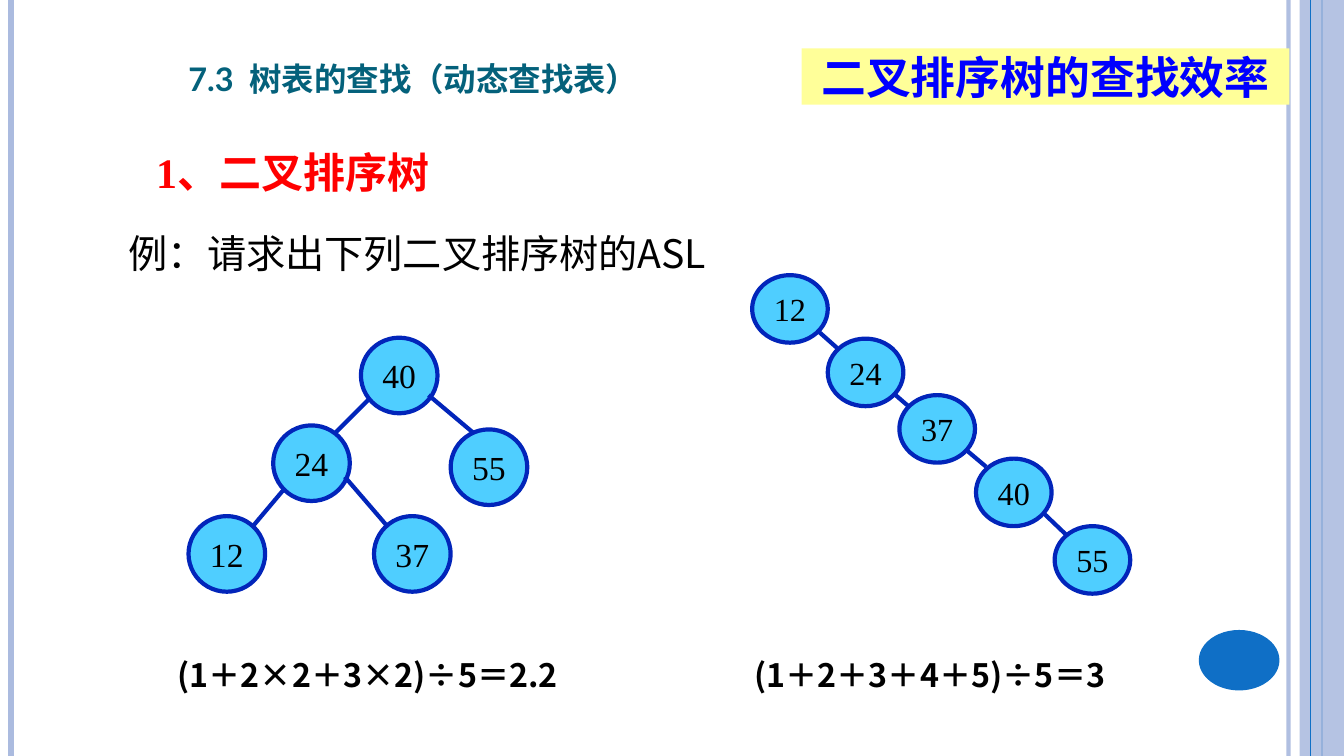
from lxml import etree
from pptx import Presentation
from pptx.dml.color import RGBColor
from pptx.enum.shapes import MSO_CONNECTOR, MSO_SHAPE
from pptx.enum.text import MSO_ANCHOR, PP_ALIGN
from pptx.oxml.ns import qn
from pptx.util import Inches, Pt

STRAIGHT = MSO_CONNECTOR.STRAIGHT
RECTANGLE, OVAL = MSO_SHAPE.RECTANGLE, MSO_SHAPE.OVAL
TOP, MIDDLE, BOTTOM = MSO_ANCHOR.TOP, MSO_ANCHOR.MIDDLE, MSO_ANCHOR.BOTTOM
CENTER = PP_ALIGN.CENTER

PALE_BLUE = RGBColor(0xAB, 0xBB, 0xDF)
BLUE = RGBColor(0x0F, 0x6F, 0xC6)
TEAL = RGBColor(0x04, 0x61, 0x7B)
RED = RGBColor(0xFF, 0x00, 0x00)
YELLOW = RGBColor(0xFF, 0xFF, 0x99)
PURE_BLUE = RGBColor(0x00, 0x00, 0xFF)
NODE_FILL = RGBColor(0x4F, 0xCE, 0xFF)
NODE_LINE = RGBColor(0x02, 0x25, 0xBA)
BLACK = RGBColor(0x00, 0x00, 0x00)

SANS, SERIF, LATO = "Noto Sans CJK SC", "Times New Roman", "Lato"

presentation = Presentation()
presentation.slide_width = Inches(13.33)
presentation.slide_height = Inches(7.5)
slide = presentation.slides.add_slide(presentation.slide_layouts[6])


def add_line(start_x, start_y, end_x, end_y, colour, width):
    line = slide.shapes.add_connector(
        STRAIGHT, Inches(start_x), Inches(start_y), Inches(end_x), Inches(end_y))
    line.line.color.rgb = colour
    line.line.width = Pt(width)
    etree.SubElement(line._element.spPr, qn("a:effectLst"))
    return line


def write_text(shape, text, size, font, colour, bold=False, anchor=MIDDLE, wrap=True):
    frame = shape.text_frame
    frame.text = text
    frame.word_wrap = wrap
    frame.vertical_anchor = anchor
    paragraph = frame.paragraphs[0]
    run = paragraph.runs[0]
    run.font.size = Pt(size)
    run.font.name = font
    run.font.bold = bold
    run.font.color.rgb = colour
    etree.SubElement(run.font._element, qn("a:ea"), typeface=SANS)
    return paragraph


# Vertical rules and side band
side_rule = add_line(12.78, 0, 12.78, 7.5, PALE_BLUE, 3)
add_line(0.11, 0, 0.11, 7.5, PALE_BLUE, 4.5)
add_line(13.11, 0, 13.11, 7.5, BLUE, 1.5)

# Plain filled shapes
filled = []
for kind, left, top, width, height, fill in [
    (RECTANGLE, 12.89, 0, 0.44, 7.5, PALE_BLUE),
    (OVAL, 11.89, 6.25, 0.8, 0.6, BLUE),
    (RECTANGLE, 7.95, 0.48, 4.84, 0.56, YELLOW),
]:
    shape = slide.shapes.add_shape(
        kind, Inches(left), Inches(top), Inches(width), Inches(height))
    shape.shadow.inherit = False
    shape.fill.solid()
    shape.fill.fore_color.rgb = fill
    shape.line.fill.background()
    filled.append(shape)
side_band, page_oval, banner = filled
add_line(13, 0, 13, 7.5, BLUE, 0.75)

# Slight transparency of the side rule and band
for shape, opacity in [(side_rule, 93), (side_band, 87)]:
    colour = next(shape._element.spPr.iter(qn("a:srgbClr")))
    etree.SubElement(colour, qn("a:alpha"), val=str(opacity * 1000))

# Banner
paragraph = write_text(banner, "二叉排序树的查找效率", 32, SANS, PURE_BLUE, True)
paragraph.alignment = CENTER

# Headings, example and formulas
paragraphs = []
for left, top, width, height, text, size, font, colour, bold, anchor, wrap in [
    (1.77, 0.43, 6.31, 0.61, "7.3  树表的查找（动态查找表）", 29, LATO, TEAL, True, BOTTOM, True),
    (1.45, 1.15, 5.22, 0.86, "1、二叉排序树", 30, SERIF, RED, True, TOP, True),
    (1.18, 2.23, 6.9, 0.57, "例：请求出下列二叉排序树的ASL", 28, SANS, BLACK, False, TOP, True),
    (1.66, 6.26, 4.12, 0.87, "(1＋2×2＋3×2)÷5＝2.2", 23, SANS, BLACK, True, MIDDLE, False),
    (7.38, 6.2, 3.82, 0.99, "(1＋2＋3＋4＋5)÷5＝3", 23, SANS, BLACK, True, MIDDLE, False),
]:
    box = slide.shapes.add_textbox(
        Inches(left), Inches(top), Inches(width), Inches(height))
    paragraphs.append(write_text(box, text, size, font, colour, bold, anchor, wrap))
title, heading = paragraphs[:2]
title.runs[0].font._element.set("cap", "small")
heading.line_spacing = 1.5

# Search trees: node size, text size, nodes (key, left, top), edges
balanced_tree = (
    0.76, 0.75, 24,
    [("40", 3.58, 3.35), ("24", 2.71, 4.22), ("12", 1.87, 5.12),
     ("37", 3.71, 5.12), ("55", 4.47, 4.26)],
    [(3.66, 3.96, 3.33, 4.29), (2.82, 4.85, 2.5, 5.23),
     (3.42, 4.73, 3.85, 5.23), (4.25, 3.92, 4.69, 4.29)],
)
chain_tree = (
    0.75, 0.67, 23,
    [("12", 7.46, 2.73), ("24", 8.21, 3.36), ("37", 8.92, 3.92),
     ("40", 9.68, 4.55), ("55", 10.46, 5.22)],
    [(8.12, 3.29, 8.3, 3.45), (8.86, 3.9, 9.01, 4.03),
     (9.59, 4.47, 9.78, 4.63), (10.36, 5.1, 10.59, 5.32)],
)
for width, height, size, nodes, edges in [balanced_tree, chain_tree]:
    for key, left, top in nodes:
        node = slide.shapes.add_shape(
            OVAL, Inches(left), Inches(top), Inches(width), Inches(height))
        node.shadow.inherit = False
        node.fill.solid()
        node.fill.fore_color.rgb = NODE_FILL
        node.line.color.rgb = NODE_LINE
        node.line.width = Pt(3)
        frame = node.text_frame
        frame.margin_left = frame.margin_right = 0
        frame.margin_top = frame.margin_bottom = 0
        write_text(node, key, size, SERIF, BLACK).alignment = CENTER
    for edge in edges:
        add_line(*edge, NODE_LINE, 3)

presentation.save("out.pptx")
